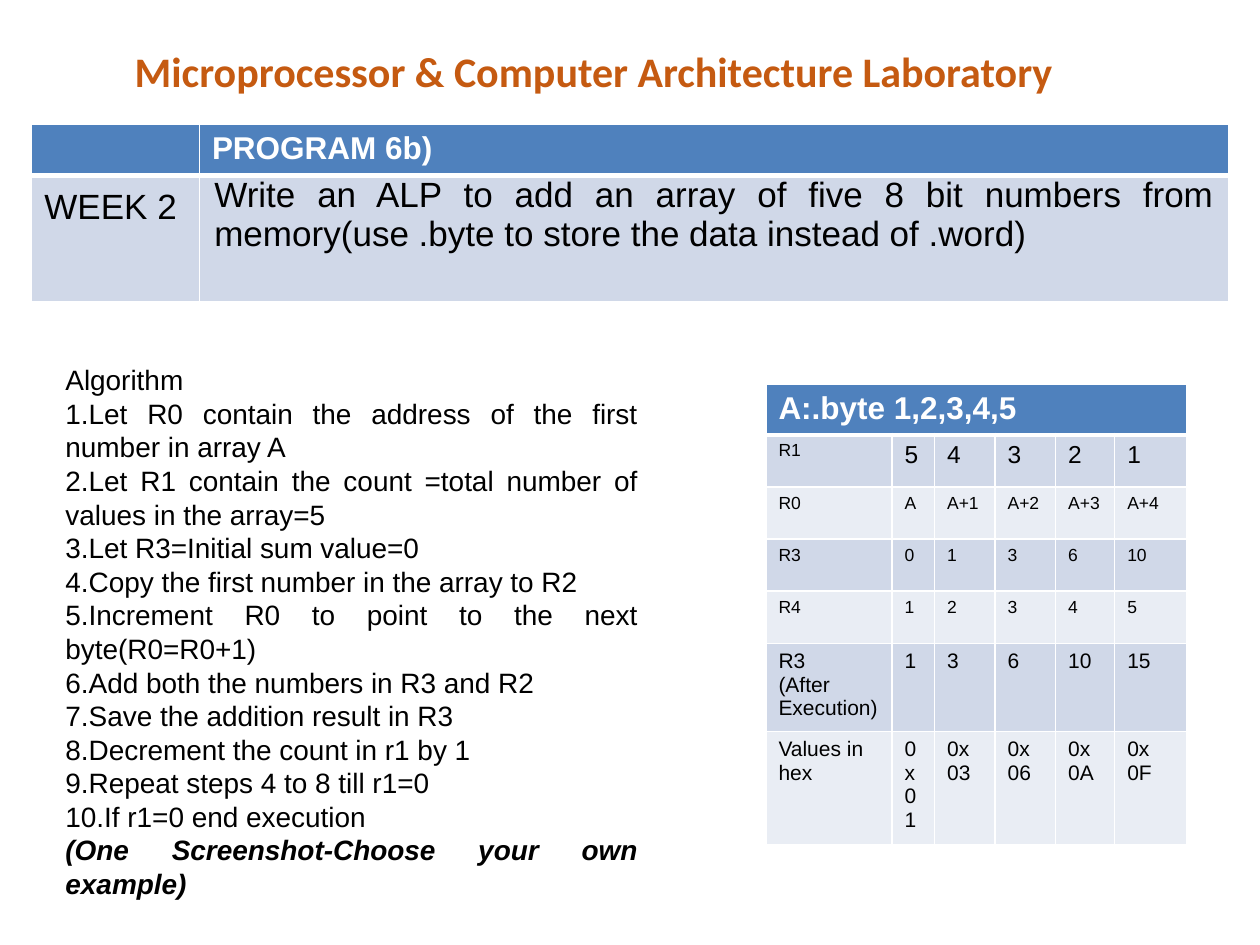
"""Build the laboratory slide on adding an array of bytes."""
import dataclasses
import typing

import lxml.etree
import pptx
import pptx.dml.color
import pptx.enum.text
import pptx.oxml.ns
import pptx.slide
import pptx.table
import pptx.text.text
import pptx.util

Cm = pptx.util.Cm
Pt = pptx.util.Pt
ALIGN = pptx.enum.text.PP_ALIGN
COLOURS = {
    "title": "C55A11",
    "header": "4F81BD",
    "dark_band": "D0D8E8",
    "light_band": "E9EDF4",
    "white": "FFFFFF",
    "black": "000000",
}
ALGORITHM = [
    "Algorithm",
    "1.Let R0 contain the address of the first number in array A",
    "2.Let R1 contain the count =total number of values in the array=5",
    "3.Let R3=Initial sum value=0",
    "4.Copy the first number in the array to R2",
    "5.Increment R0 to point to the next byte(R0=R0+1)",
    "6.Add both the numbers in R3 and R2",
    "7.Save the addition result in R3",
    "8.Decrement the count in r1 by 1",
    "9.Repeat steps 4 to 8 till r1=0",
    "10.If r1=0 end execution",
]
TASK = (
    "Write an ALP to add an array of five 8 bit numbers from "
    "memory(use .byte to store the data instead of .word)"
)


@dataclasses.dataclass(frozen=True)
class Box:
    """Position and size in centimetres."""

    left: float
    top: float
    width: float
    height: float


@dataclasses.dataclass(frozen=True)
class RegisterRow:
    """One traced register with its values and text sizes."""

    label: str
    values: list[str]
    height: float
    label_size: int = 10
    value_size: int = 10


REGISTER_ROWS = [
    RegisterRow("R1", ["5", "4", "3", "2", "1"], 1.05, value_size=14),
    RegisterRow("R0", ["A", "A+1", "A+2", "A+3", "A+4"], 1.05),
    RegisterRow("R3", ["0", "1", "3", "6", "10"], 1.05),
    RegisterRow("R4", ["1", "2", "3", "4", "5"], 1.05),
    RegisterRow("R3\n(After Execution)", ["1", "3", "6", "10", "15"], 1.78, 12, 12),
    RegisterRow("Values in hex", ["0x\n01", "0x\n03", "0x\n06", "0x\n0A", "0x\n0F"], 2.28, 12, 12),
]


def write_text(
    frame: pptx.text.text.TextFrame,
    text: str,
    *,
    size: int,
    colour: str = "black",
    font: str = "Arial",
    bold: bool = False,
    italic: bool = False,
    align: typing.Optional[ALIGN] = None,
    line_spacing: typing.Optional[float] = None,
    append: bool = False,
) -> None:
    """Write each line of the text as a formatted paragraph."""
    for index, line in enumerate(text.split("\n")):
        new = append or index > 0
        paragraph = frame.add_paragraph() if new else frame.paragraphs[0]
        paragraph.alignment = align
        paragraph.line_spacing = line_spacing
        run = paragraph.add_run()
        run.text = line
        run.font.name = font
        run.font.size = Pt(size)
        run.font.bold = bold
        run.font.italic = italic
        run.font.color.rgb = pptx.dml.color.RGBColor.from_string(COLOURS[colour])


def add_text_box(slide: pptx.slide.Slide, box: Box) -> pptx.text.text.TextFrame:
    """Add a wrapping text box and return its text frame."""
    shape = slide.shapes.add_textbox(Cm(box.left), Cm(box.top), Cm(box.width), Cm(box.height))
    shape.text_frame.word_wrap = True
    return shape.text_frame


def style_cell(cell: pptx.table._Cell, fill: str, top: int = 1, bottom: int = 1) -> None:
    """Give a cell its fill and white borders."""
    properties = cell._tc.get_or_add_tcPr()
    qualified = pptx.oxml.ns.qn
    for side, width in {"L": 1, "R": 1, "T": top, "B": bottom}.items():
        line = lxml.etree.SubElement(properties, qualified(f"a:ln{side}"), w=str(Pt(width)))
        solid = lxml.etree.SubElement(line, qualified("a:solidFill"))
        lxml.etree.SubElement(solid, qualified("a:srgbClr"), val=COLOURS["white"])
    cell.fill.solid()
    cell.fill.fore_color.rgb = pptx.dml.color.RGBColor.from_string(COLOURS[fill])


def add_banded_table(
    slide: pptx.slide.Slide, box: Box, widths: list[float], heights: list[float]
) -> pptx.table.Table:
    """Add a table with a header row and alternating bands."""
    table = slide.shapes.add_table(
        len(heights), len(widths), Cm(box.left), Cm(box.top), Cm(box.width), Cm(box.height)
    ).table
    for column, width in zip(table.columns, widths):
        column.width = Cm(width)
    for index, (row, height) in enumerate(zip(table.rows, heights)):
        row.height = Cm(height)
        band = "dark_band" if index % 2 else "light_band"
        for cell in row.cells:
            style_cell(
                cell,
                band if index else "header",
                top=3 if index == 1 else 1,
                bottom=1 if index else 3,
            )
    return table


def add_task_table(slide: pptx.slide.Slide) -> None:
    """Add the table with the week and the programming task."""
    table = add_banded_table(slide, Box(0.64, 2.51, 24.13, 3.58), [3.38, 20.75], [1.03, 2.55])
    write_text(table.cell(0, 1).text_frame, "PROGRAM 6b)", size=18, colour="white", bold=True)
    write_text(
        table.cell(1, 0).text_frame, "WEEK 2", size=20, align=ALIGN.JUSTIFY, line_spacing=1.15
    )
    task = table.cell(1, 1)
    task.margin_left = task.margin_right = Cm(0.3)
    task.margin_top = task.margin_bottom = Cm(0)
    write_text(task.text_frame, TASK, size=20, align=ALIGN.JUSTIFY)


def add_register_table(slide: pptx.slide.Slide) -> None:
    """Add the trace of register values."""
    table = add_banded_table(
        slide,
        Box(15.44, 7.75, 8.48, 9.27),
        [2.54, 0.86, 1.22, 1.22, 1.19, 1.45],
        [1.01] + [row.height for row in REGISTER_ROWS],
    )
    header = table.cell(0, 0)
    header.merge(table.cell(0, 5))
    write_text(header.text_frame, "A:.byte 1,2,3,4,5", size=18, colour="white", bold=True)
    for index, row in enumerate(REGISTER_ROWS, start=1):
        write_text(table.cell(index, 0).text_frame, row.label, size=row.label_size)
        for column, value in enumerate(row.values, start=1):
            write_text(table.cell(index, column).text_frame, value, size=row.value_size)


def main() -> None:
    """Create and save the presentation."""
    presentation = pptx.Presentation()
    presentation.slide_width, presentation.slide_height = Cm(25.4), Cm(19.05)
    slide = presentation.slides.add_slide(presentation.slide_layouts[6])
    title = add_text_box(slide, Box(0.64, 0.79, 22.66, 1.27))
    title.vertical_anchor = pptx.enum.text.MSO_ANCHOR.MIDDLE
    write_text(
        title, "Microprocessor & Computer Architecture Laboratory",
        size=24, colour="title", font="Calibri", bold=True, align=ALIGN.CENTER,
    )
    add_task_table(slide)
    add_register_table(slide)
    algorithm = add_text_box(slide, Box(1.07, 7.19, 12.04, 11.89))
    write_text(algorithm, "\n".join(ALGORITHM), size=16, align=ALIGN.JUSTIFY)
    write_text(
        algorithm, "(One Screenshot-Choose your own example)",
        size=16, bold=True, italic=True, align=ALIGN.JUSTIFY, append=True,
    )
    presentation.save("out.pptx")


if __name__ == "__main__":
    main()
